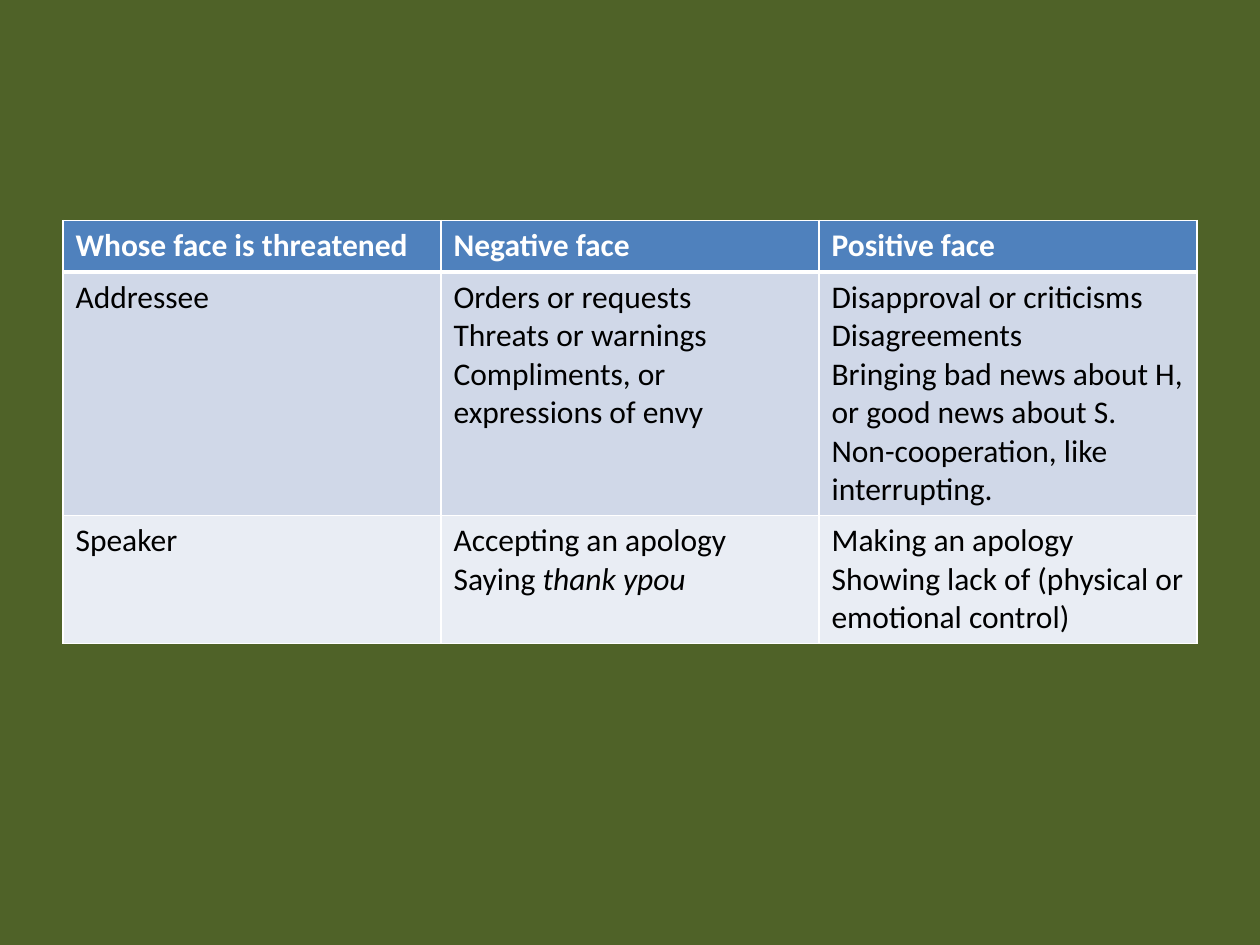
from lxml.etree import SubElement
from pptx import Presentation
from pptx.dml.color import RGBColor
from pptx.oxml.ns import qn
from pptx.util import Inches, Pt


def color(hex_text):
    return RGBColor.from_string(hex_text)


class SlideBuilder:
    font, size = "Calibri", 18
    white, black = "FFFFFF", "000000"
    header_fill, row_fills = "4F81BD", ("D0D8E8", "E9EDF4")

    def __init__(self, deck, background):
        self.page = deck.slides.add_slide(deck.slide_layouts[6])
        fill = self.page.background.fill
        fill.solid()
        fill.fore_color.rgb = color(background)

    def table(self, left, top, width, heights, rows):
        columns = len(rows[0])
        frame = self.page.shapes.add_table(
            len(rows), columns, Inches(left), Inches(top),
            Inches(width), Inches(sum(heights)))
        table = frame.table
        for column in table.columns:
            column.width = Inches(width / columns)
        for index, (height, texts) in enumerate(zip(heights, rows)):
            table.rows[index].height = Inches(height)
            for cell, lines in zip(table.rows[index].cells, texts):
                self.cell(cell, lines, index)

    def cell(self, cell, lines, row):
        header = row == 0
        # The rule below the header is thicker than the others
        self.borders(cell, top=3 if row == 1 else 1, bottom=3 if header else 1)
        cell.fill.solid()
        fill = self.header_fill if header else self.row_fills[(row - 1) % 2]
        cell.fill.fore_color.rgb = color(fill)
        frame = cell.text_frame
        for index, line in enumerate(lines):
            para = frame.add_paragraph() if index else frame.paragraphs[0]
            para.font.name = self.font
            para.font.size = Pt(self.size)
            para.font.bold = header
            para.font.color.rgb = color(self.white if header else self.black)
            # Text between asterisks is italic
            for part, text in enumerate(line.split("*")):
                if text:
                    span = para.add_run()
                    span.text = text
                    if part % 2:
                        span.font.italic = True

    def borders(self, cell, top, bottom):
        properties = cell._tc.get_or_add_tcPr()
        for side, width in zip("LRTB", (1, 1, top, bottom)):
            line = SubElement(properties, qn(f"a:ln{side}"), w=str(Pt(width)))
            fill = SubElement(line, qn("a:solidFill"))
            SubElement(fill, qn("a:srgbClr"), val=self.white)


def main():
    deck = Presentation()
    deck.slide_width, deck.slide_height = Inches(10), Inches(7.5)
    builder = SlideBuilder(deck, "4F6228")

    # Each cell is a list of paragraphs
    rows = [
        [["Whose face is threatened"], ["Negative face"], ["Positive face"]],
        [["Addressee"],
         ["Orders or requests", "Threats or warnings",
          "Compliments, or expressions of envy"],
         ["Disapproval or criticisms", "Disagreements",
          "Bringing bad news about H, or good news about S.",
          "Non-cooperation, like interrupting."]],
        [["Speaker"],
         ["Accepting an apology", "Saying *thank ypou*"],
         ["Making an apology",
          "Showing lack of (physical or emotional control)"]],
    ]
    builder.table(0.5, 1.75, 9, (0.41, 1.9, 1), rows)
    deck.save("out.pptx")


if __name__ == "__main__":
    main()
